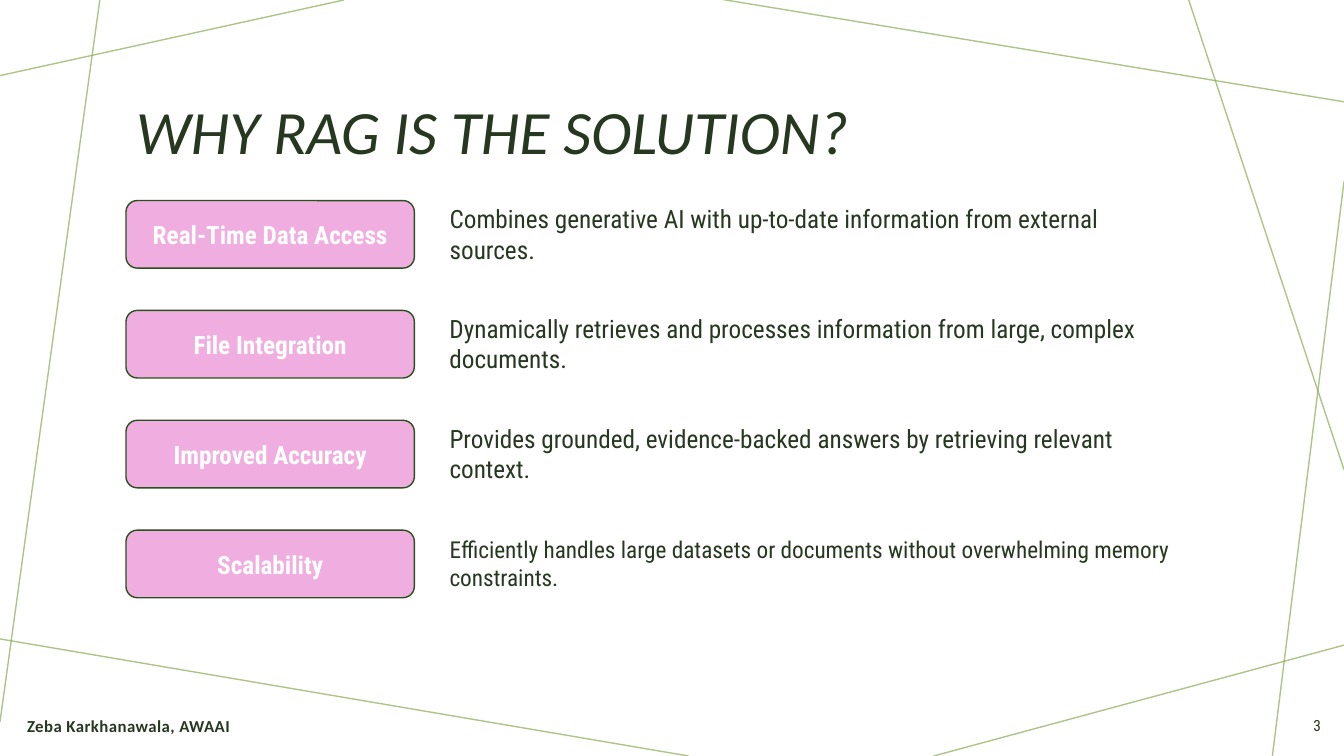
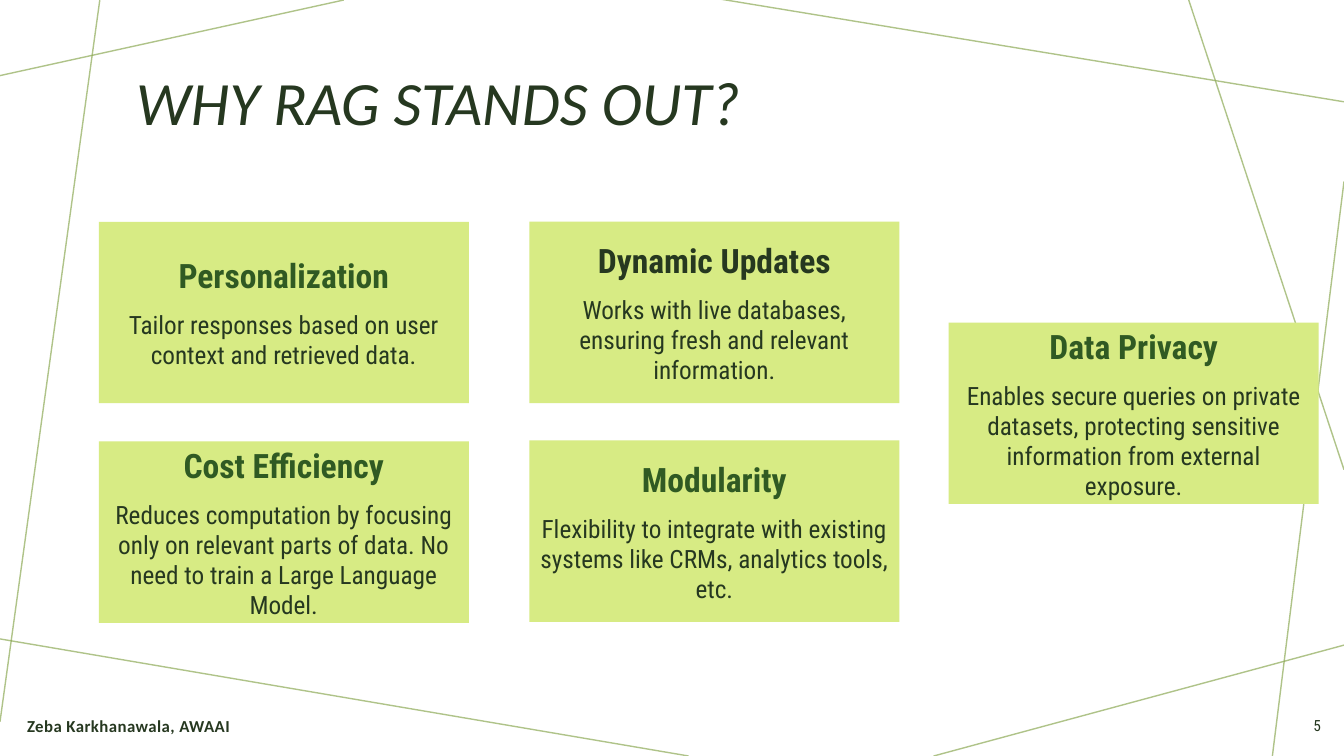
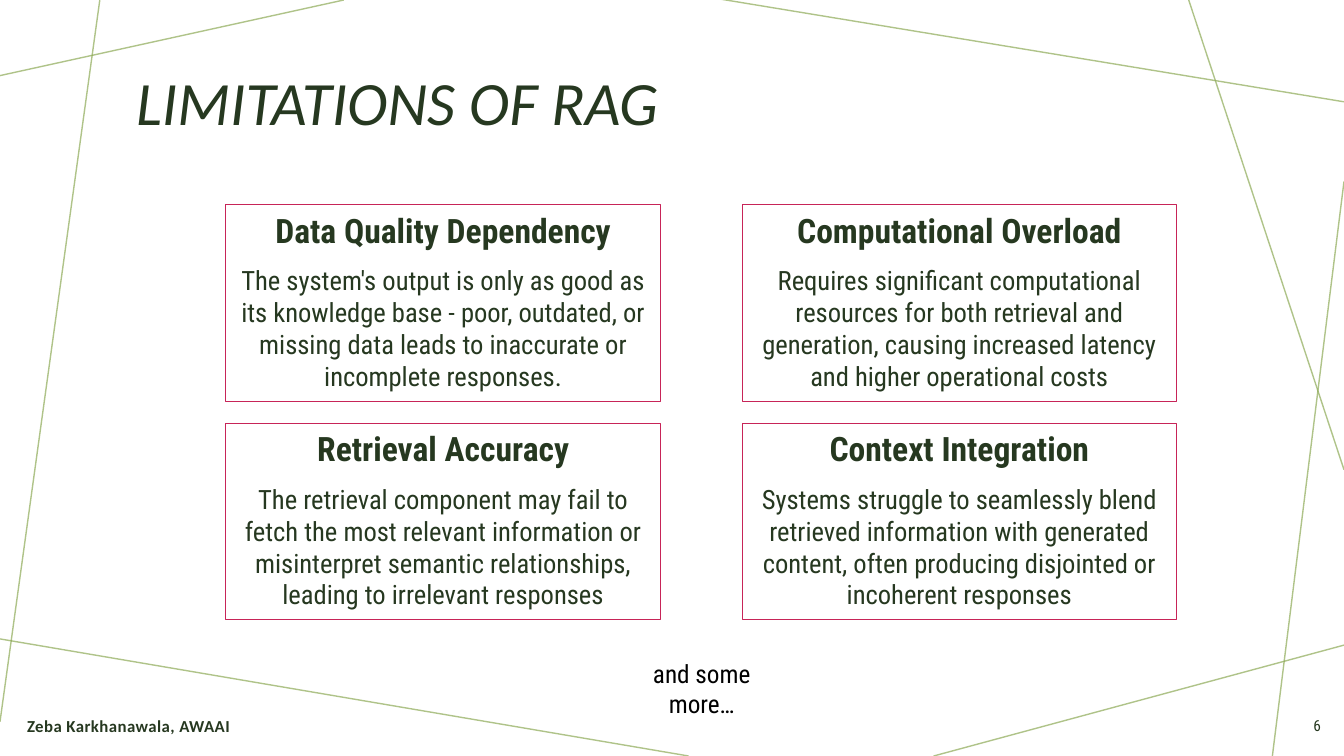
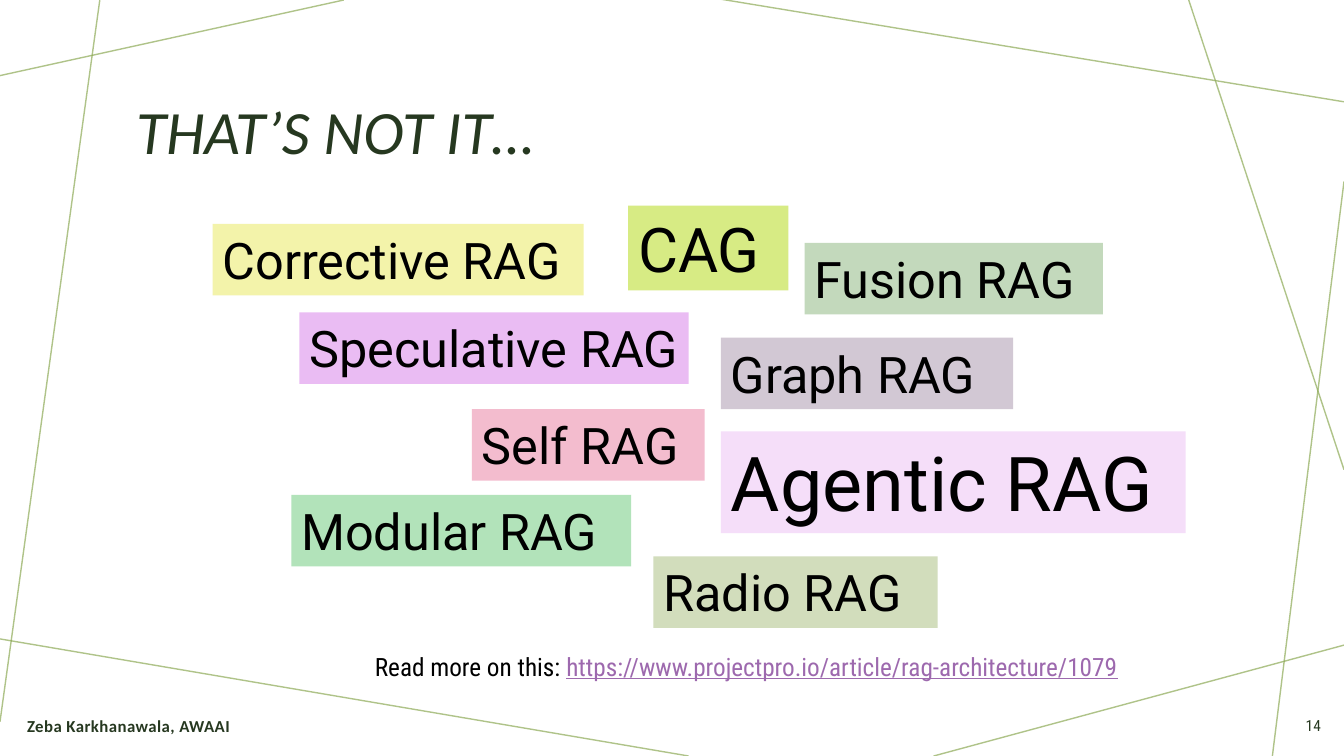
from dataclasses import dataclass, replace

from lxml import etree
from pptx import Presentation
from pptx.dml.color import RGBColor
from pptx.enum.shapes import MSO_CONNECTOR, MSO_SHAPE
from pptx.enum.text import MSO_ANCHOR, MSO_AUTO_SIZE, PP_ALIGN
from pptx.oxml.ns import qn
from pptx.util import Inches, Pt

STRAIGHT = MSO_CONNECTOR.STRAIGHT
RECTANGLE, ROUNDED = MSO_SHAPE.RECTANGLE, MSO_SHAPE.ROUNDED_RECTANGLE
TOP, MIDDLE = MSO_ANCHOR.TOP, MSO_ANCHOR.MIDDLE
LEFT, CENTER, RIGHT = PP_ALIGN.LEFT, PP_ALIGN.CENTER, PP_ALIGN.RIGHT
NO_FIT, GROW = MSO_AUTO_SIZE.NONE, MSO_AUTO_SIZE.SHAPE_TO_FIT_TEXT


@dataclass(frozen=True)
class Style:
    size: float
    color: str = "263820"
    face: str = "Roboto Condensed"
    bold: bool = False
    italic: bool = False


class Theme:
    # Colours
    decor, lime, pink = "8EAA57", "D7EB84", "F0ADDF"
    pill_edge, card_edge, link = "2B4F1F", "C72458", "9D69AE"
    # Type
    title = Style(44, face="Calibri", italic=True)
    footer = Style(12, face="Calibri", bold=True)
    number = Style(11)
    pill = Style(18, "FFFFFF", bold=True)
    body = Style(18)
    body_tight = Style(16.6)
    body_large = Style(19)
    heading = Style(24, bold=True)
    heading_green = Style(24, "305A23", bold=True)
    note = Style(18, "000000")
    label = Style(36, "000000", "Roboto")


def write(box, lines, align=LEFT, anchor=MIDDLE):
    """Fill a box with (text, style) paragraphs and return its text frame."""
    frame = box.text_frame
    frame.word_wrap, frame.auto_size, frame.vertical_anchor = True, NO_FIT, anchor
    for index, (text, style) in enumerate(lines):
        para = frame.add_paragraph() if index else frame.paragraphs[0]
        if box.is_placeholder:
            properties = para._p.get_or_add_pPr()
            properties.set("marL", "0")
            properties.set("indent", "0")
            etree.SubElement(properties, qn("a:buNone"))
        para.alignment = align
        para.space_before = Pt(10 if index else 0)
        para.add_run().text = text
        para.font.name, para.font.size = style.face, Pt(style.size)
        para.font.bold, para.font.italic = style.bold, style.italic
        para.font.color.rgb = RGBColor.from_string(style.color)
    return frame


def start_slide(layout, title, title_height, number):
    """Add a slide with its title, footer and slide number."""
    page = deck.slides.add_slide(deck.slide_layouts[layout])
    heading = page.shapes.title
    heading.left, heading.top = Inches(1.25), Inches(0.58)
    heading.width, heading.height = Inches(10.83), Inches(title_height)
    write(heading, [(title, Theme.title)]).paragraphs[0].line_spacing = 0.9

    footer = page.shapes.add_textbox(Inches(0.17), Inches(7), Inches(4.92), Inches(0.4))
    para = write(footer, [("Zeba Karkhanawala, AWAAI", Theme.footer)]).paragraphs[0]
    para.font._rPr.set("spc", "30")
    counter = page.shapes.add_textbox(Inches(12.69), Inches(7), Inches(0.51), Inches(0.4))
    write(counter, [(number, Theme.number)], RIGHT)
    return page


deck = Presentation()
deck.slide_width, deck.slide_height = Inches(13.33), Inches(7.5)
TITLE_AND_BODY, TITLE_ONLY = 1, 5

# Why RAG: a pill and a description in each row
page = start_slide(TITLE_AND_BODY, "WHY RAG IS THE SOLUTION?", 1.51, "3")

# Decorative lines, drawn once and moved to the slide master
decor_lines = [
    (3.41, 0, 0, 0.75), (0.99, 0, 0, 7.16), (6.83, 7.5, -0.05, 6.33),
    (13.33, 6.4, 9.26, 7.5), (13.33, 1.8, 12.62, 7.5),
    (13.33, 4.66, 11.79, 0), (13.33, 1.01, 7.14, -0.01),
]
for index, ends in enumerate(decor_lines):
    line = page.shapes.add_connector(STRAIGHT, *map(Inches, ends))
    line.line.width = Pt(1)
    line.line.color.rgb = RGBColor.from_string(Theme.decor)
    color = line.element.find(".//" + qn("a:srgbClr"))
    etree.SubElement(color, qn("a:alpha")).set("val", "70000")
    etree.SubElement(line.element.spPr, qn("a:effectLst"))
    line.element.nvCxnSpPr.cNvPr.set("id", str(20 + index))
    deck.slide_master.shapes.element.append(line.element)

reasons = [
    ("Real-Time Data Access", 7.48, Theme.body,
     "Combines generative AI with up-to-date information from external sources."),
    ("File Integration", 7.64, Theme.body,
     "Dynamically retrieves and processes information from large, complex documents."),
    ("Improved Accuracy", 7.48, Theme.body,
     "Provides grounded, evidence-backed answers by retrieving relevant context."),
    ("Scalability", 7.99, Theme.body_tight,
     "Efficiently handles large datasets or documents without overwhelming memory constraints."),
]
for row, (name, width, style, text) in enumerate(reasons):
    top = 1.99 + 1.09 * row
    pill = page.shapes.add_shape(ROUNDED, Inches(1.25), Inches(top), Inches(2.86), Inches(0.67))
    pill.shadow.inherit = False
    pill.fill.solid()
    pill.fill.fore_color.rgb = RGBColor.from_string(Theme.pink)
    pill.line.color.rgb = RGBColor.from_string(Theme.pill_edge)
    pill.line.width = Pt(1)
    write(pill, [(name, Theme.pill)], CENTER)
    box = page.shapes.add_textbox(0, 0, 0, 0) if row else page.placeholders[1]
    box.left, box.top = Inches(4.36), Inches(top + 0.05)
    box.width, box.height = Inches(width), Inches(0.56)
    write(box, [(text, style)])

# Strengths and limitations: cards of a heading and a text
strengths = [
    (0.98, 2.2, "Personalization", Theme.heading_green,
     "Tailor responses based on user context and retrieved data."),
    (5.25, 2.2, "Dynamic Updates", Theme.heading,
     "Works with live databases, ensuring fresh and relevant information."),
    (0.98, 4.38, "Cost Efficiency", Theme.heading_green,
     "Reduces computation by focusing only on relevant parts of data. "
     "No need to train a Large Language Model."),
    (5.25, 4.37, "Modularity", Theme.heading_green,
     "Flexibility to integrate with existing systems like CRMs, analytics tools, etc."),
    (9.41, 3.2, "Data Privacy", Theme.heading_green,
     "Enables secure queries on private datasets, protecting sensitive "
     "information from external exposure."),
]
limits = [
    (2.24, 2.03, "Data Quality Dependency", Theme.heading,
     "The system's output is only as good as its knowledge base - poor, outdated, "
     "or missing data leads to inaccurate or incomplete responses."),
    (7.36, 2.03, "Computational Overload", Theme.heading,
     "Requires significant computational resources for both retrieval and generation, "
     "causing increased latency and higher operational costs"),
    (2.24, 4.2, "Retrieval Accuracy", Theme.heading,
     "The retrieval component may fail to fetch the most relevant information or "
     "misinterpret semantic relationships, leading to irrelevant responses"),
    (7.36, 4.2, "Context Integration", Theme.heading,
     "Systems struggle to seamlessly blend retrieved information with generated content, "
     "often producing disjointed or incoherent responses"),
]
card_slides = [
    ("WHY RAG STANDS OUT?", "5", strengths, (3.67, 1.8), Theme.lime, None, Theme.body, MIDDLE),
    ("LIMITATIONS OF RAG", "6", limits, (4.31, 1.95), None, Theme.card_edge, Theme.body_large, TOP),
]
for title, number, cards, size, fill, edge, style, anchor in card_slides:
    page = start_slide(TITLE_AND_BODY, title, 0.93, number)
    for index, (left, top, name, name_style, text) in enumerate(cards):
        if index:
            card = page.shapes.add_shape(RECTANGLE, 0, 0, 0, 0)
            card.shadow.inherit = False
        else:
            card = page.placeholders[1]
        card.left, card.top = Inches(left), Inches(top)
        card.width, card.height = map(Inches, size)
        if fill:
            card.fill.solid()
            card.fill.fore_color.rgb = RGBColor.from_string(fill)
        else:
            card.fill.background()
        if edge:
            card.line.color.rgb = RGBColor.from_string(edge)
            card.line.width = Pt(0.75)
        else:
            card.line.fill.background()
        write(card, [(name, name_style), (text, style)], CENTER, anchor)

# Closing remark below the limitations
remark = page.shapes.add_textbox(Inches(6.03), Inches(6.48), Inches(1.86), Inches(0.4))
frame = write(remark, [("and some more…", Theme.note)], CENTER, TOP)
frame.margin_left = frame.margin_right = Inches(0.38)

# Other kinds of RAG: a cloud of coloured labels
page = start_slide(TITLE_ONLY, "THAT’S NOT IT…", 1.51, "14")
labels = [
    ("Corrective RAG", 2.11, 2.22, 3.68, 0.71, 36, "F3F3AA"),
    ("Speculative RAG", 2.97, 3.1, 3.86, 0.71, 36, "EABCF3"),
    ("Fusion RAG", 7.98, 2.41, 2.96, 0.71, 36, "C3D9BC"),
    ("CAG", 6.23, 2.04, 1.59, 0.84, 44, Theme.lime),
    ("Self RAG", 4.68, 4.06, 2.31, 0.71, 36, "F3BCCE"),
    ("Agentic RAG", 7.15, 4.28, 4.61, 1.01, 54, "F5DEF9"),
    ("Graph RAG", 7.15, 3.35, 2.9, 0.71, 36, "D2C8D4"),
    ("Modular RAG", 2.89, 4.91, 3.37, 0.71, 36, "B2E3BA"),
    ("Radio RAG", 6.48, 5.52, 2.82, 0.71, 36, "D2DDBC"),
]
for text, left, top, width, height, size, fill in labels:
    label = page.shapes.add_textbox(*map(Inches, (left, top, width, height)))
    label.fill.solid()
    label.fill.fore_color.rgb = RGBColor.from_string(fill)
    frame = write(label, [(text, replace(Theme.label, size=size))], anchor=TOP)
    frame.word_wrap, frame.auto_size = False, GROW

# Further reading
source = page.shapes.add_textbox(Inches(3.62), Inches(6.41), Inches(7.67), Inches(0.4))
frame = write(source, [("Read more on this: ", Theme.note)], anchor=TOP)
span = frame.paragraphs[0].add_run()
span.text = "https://www.projectpro.io/article/rag-architecture/1079"
span.font.underline = True
span.font.color.rgb = RGBColor.from_string(Theme.link)

deck.save("out.pptx")
